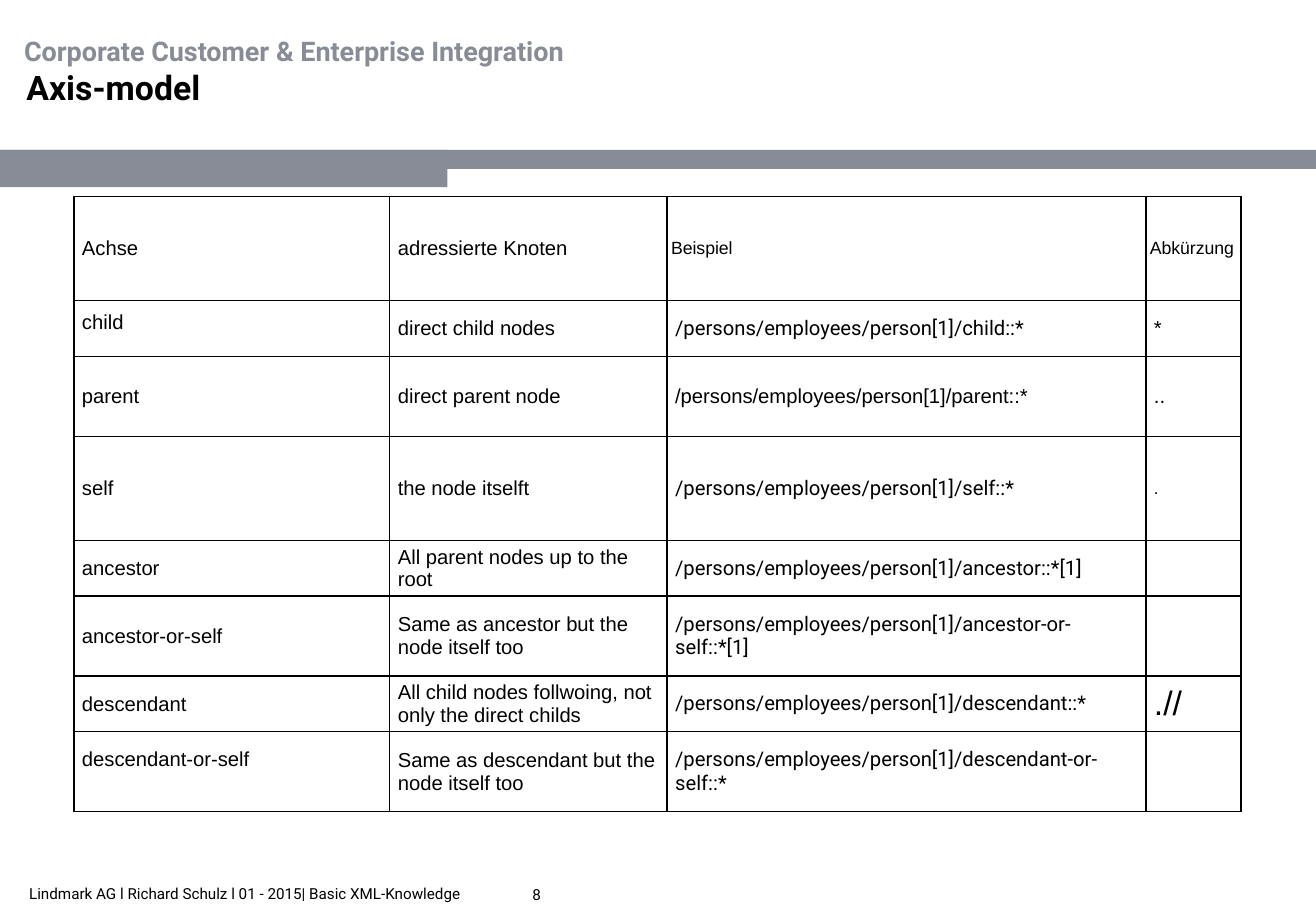
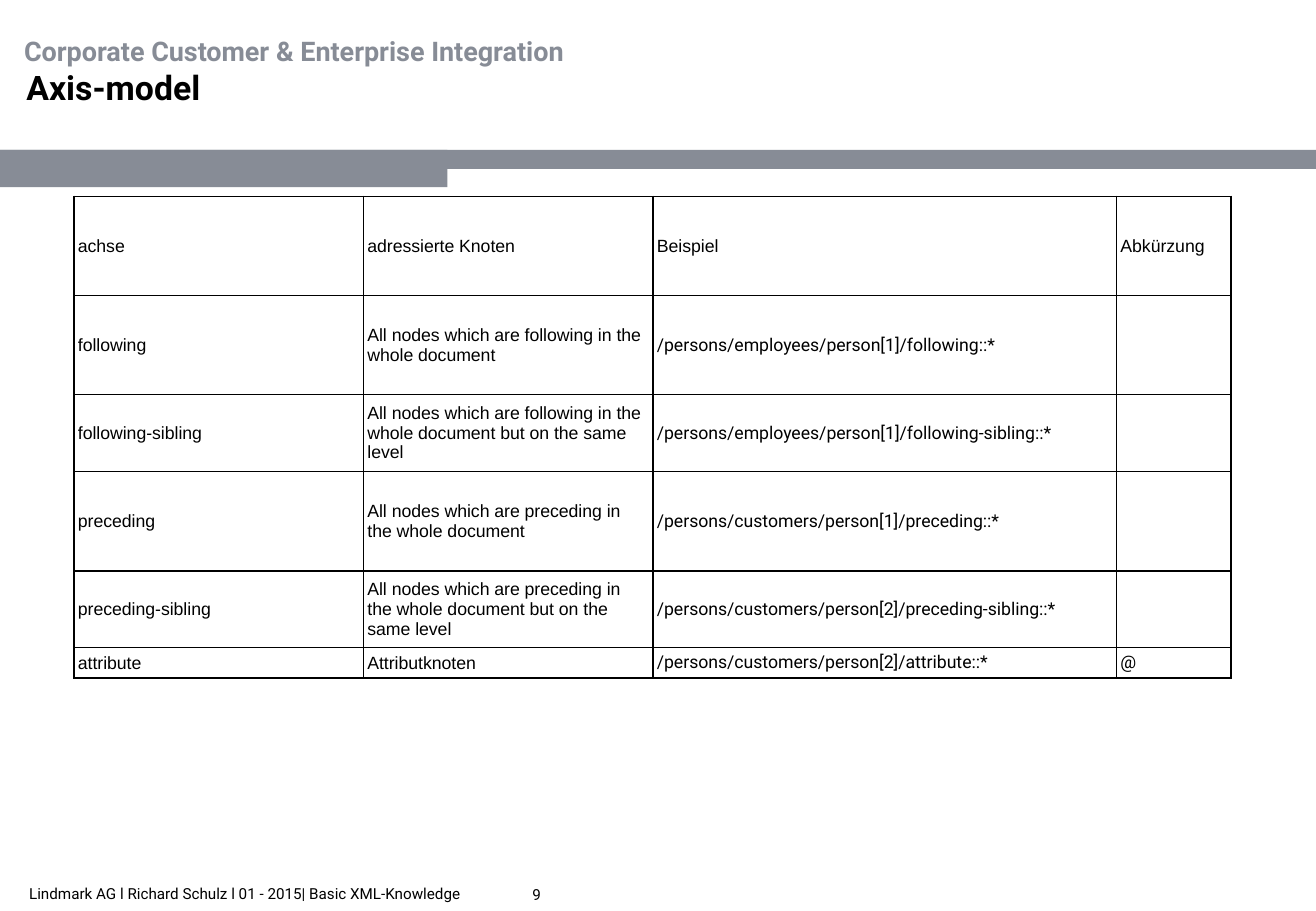
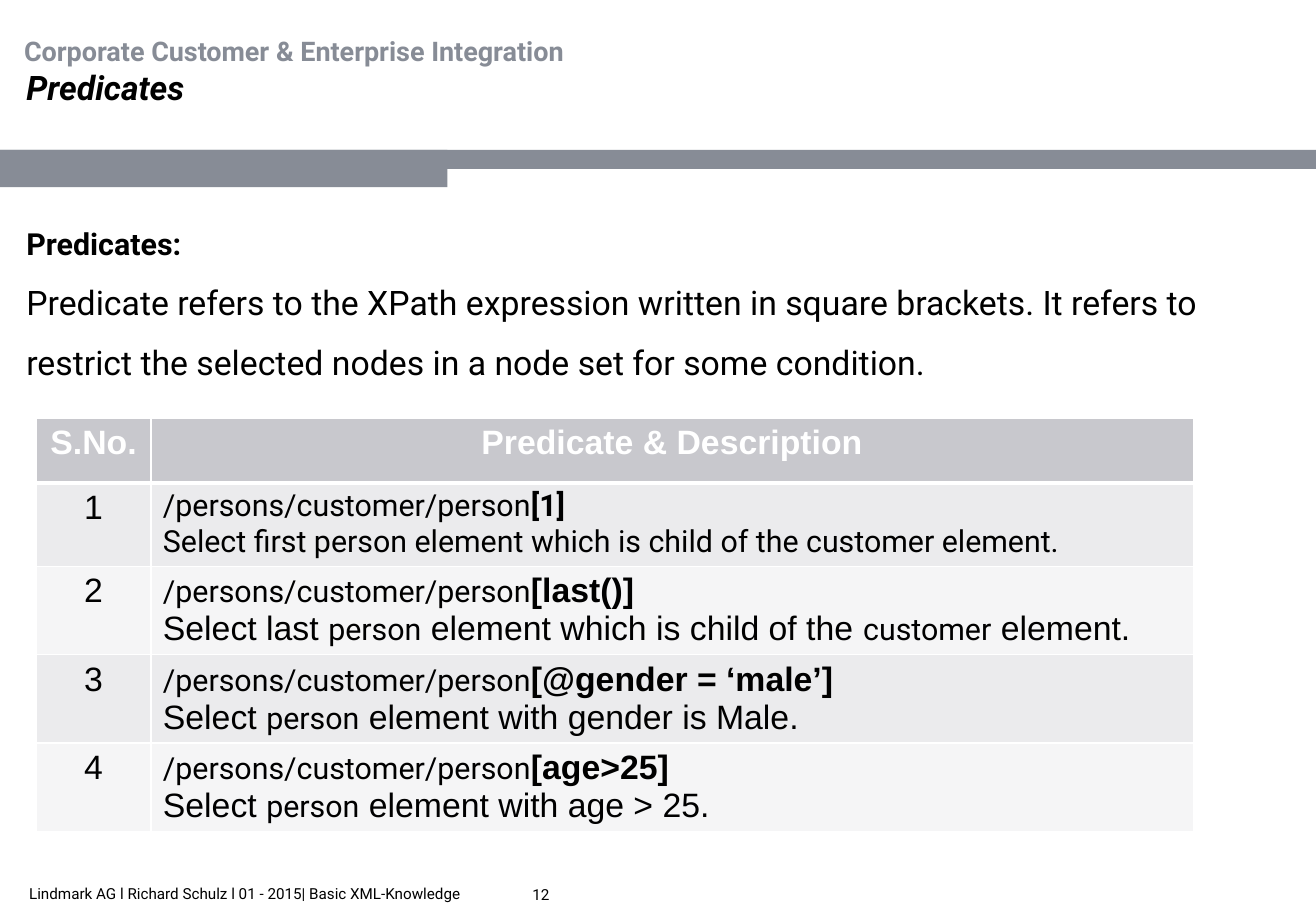
import pptx
import pptx.dml.color
import pptx.enum.shapes
import pptx.enum.text
import pptx.oxml
import pptx.oxml.ns
import pptx.util

PX = 7620  # EMU, 120 px to the inch
WIDTH, HEIGHT = 1300, 900
GREY, BLACK, WHITE = "878C96", "000000", "FFFFFF"
HEAD_FILL, BAND_FILLS = "C8C8CD", ("EBEBED", "F5F5F6")
SANS, ROBOTO = "Arial", "Roboto"
ALIGN = pptx.enum.text.PP_ALIGN
ANCHOR = pptx.enum.text.MSO_ANCHOR
WIDE, TIGHT = (8, 4), (4, 2)  # cell margins: sides, top and bottom

TITLE_ONLY, TITLE_AND_BODY = 5, 1
PATH = "/persons/customer/person"
CODE = {"size": 18, "font": ROBOTO}
STRONG = {"bold": True}

AXES = [
    ["Achse", "adressierte Knoten", "Beispiel", "Abkürzung"],
    ["child", "direct child nodes", "/persons/employees/person[1]/child::*", "*"],
    ["parent", "direct parent node", "/persons/employees/person[1]/parent::*", ".."],
    ["self", "the node itselft", "/persons/employees/person[1]/self::*", "."],
    ["ancestor", "All parent nodes up to the root",
     "/persons/employees/person[1]/ancestor::*[1]", ""],
    ["ancestor-or-self", "Same as ancestor but the node itself too",
     "/persons/employees/person[1]/ancestor-or-self::*[1]", ""],
    ["descendant", "All child nodes follwoing, not only the direct childs",
     "/persons/employees/person[1]/descendant::*", ".//"],
    ["descendant-or-self", "Same as descendant but the node itself too",
     "/persons/employees/person[1]/descendant-or-self::*", ""],
]
AXES_FORMATS = {
    (0, 2): {"size": 10.5, "margins": TIGHT},
    (0, 3): {"size": 10.5, "margins": TIGHT},
    (1, 0): {"lift": 12},
    (2, 2): {"font": SANS},
    (3, 3): {"size": 10},
    (6, 3): {"size": 20},
    (7, 0): {"lift": 24},
}

MORE_AXES = [
    ["achse", "adressierte Knoten", "Beispiel", "Abkürzung"],
    ["following", "All nodes which are following in the whole document",
     "/persons/employees/person[1]/following::*", ""],
    ["following-sibling",
     "All nodes which are following in the whole document but on the same level",
     "/persons/employees/person[1]/following-sibling::*", ""],
    ["preceding", "All nodes which are preceding in the whole document",
     "/persons/customers/person[1]/preceding::*", ""],
    ["preceding-sibling",
     "All nodes which are preceding in the whole document but on the same level",
     "/persons/customers/person[2]/preceding-sibling::*", ""],
    ["attribute", "Attributknoten", "/persons/customers/person[2]/attribute::*", "@"],
]

PREDICATES = [
    [[(PATH, CODE), ("[1]", CODE | STRONG)],
     [("Select first person element which is child of the customer element.", CODE)]],
    [[(PATH, CODE), ("[last()]", STRONG)],
     ["Select last ", ("person", CODE), " element which is child of the ",
      ("customer", CODE), " element."]],
    [[(PATH, CODE), ("[@gender = ‘male’]", STRONG)],
     ["Select ", ("person", CODE), " element with gender is Male."]],
    [[(PATH, CODE), ("[age>25]", STRONG)],
     ["Select ", ("person", CODE), " element with age > 25."]],
]


def px(length):
    return pptx.util.Emu(length * PX)


def color(value):
    return pptx.dml.color.RGBColor.from_string(value)


def format_span(span, size=12, font=ROBOTO, ink=BLACK, bold=False, italic=False):
    span.font.size = pptx.util.Pt(size)
    span.font.name = font
    span.font.color.rgb = color(ink)
    span.font.bold = bold
    span.font.italic = italic


def write(frame, content, align=ALIGN.LEFT, spacing=None, margins=(0, 0, 0, 0),
          anchor=ANCHOR.TOP, **style):
    """Fill a frame with a string, or a list of paragraphs that are lists of spans.

    A span is a string or a pair of a string and its own format.
    """
    frame.word_wrap = True
    frame.auto_size = pptx.enum.text.MSO_AUTO_SIZE.NONE
    frame.vertical_anchor = anchor
    (frame.margin_left, frame.margin_top,
     frame.margin_right, frame.margin_bottom) = map(px, margins)
    write_paragraphs(frame, content, align, spacing, **style)


def write_paragraphs(frame, content, align=ALIGN.LEFT, spacing=None, **style):
    paragraphs = [[content]] if isinstance(content, str) else content
    for index, spans in enumerate(paragraphs):
        para = frame.add_paragraph() if index else frame.paragraphs[0]
        para.alignment = align
        para.space_before = pptx.util.Pt(0)
        if spacing:
            para.line_spacing = spacing
        for item in spans:
            text, own = (item, {}) if isinstance(item, str) else item
            if text:
                span = para.add_run()
                span.text = text
                format_span(span, **(style | own))


def place(shape, left, top, width, height):
    shape.left, shape.top, shape.width, shape.height = map(
        px, (left, top, width, height))


def add_text(page, area, content, **style):
    box = page.shapes.add_textbox(*map(px, area))
    write(box.text_frame, content, **style)
    return box


def add_band(page, *area):
    band = page.shapes.add_shape(
        pptx.enum.shapes.MSO_SHAPE.RECTANGLE, *map(px, area))
    band.shadow.inherit = False
    band.fill.solid()
    band.fill.fore_color.rgb = color(GREY)
    band.line.fill.background()
    return band


def add_shared_parts(deck, page):
    """Draw bands, header and footer on a page and move them to the master."""
    parts = [
        add_band(page, 0, 148, WIDTH, 19),
        add_band(page, 0, 148, 442, 37),
        add_text(page, (17, 868, 480, 30),
                 "Lindmark AG l Richard Schulz l 01 - 2015| Basic XML-Knowledge",
                 margins=(12, 6, 0, 6), size=9),
        add_text(page, (12, 28, 600, 44), "Corporate Customer & Enterprise Integration",
                 margins=(12, 6, 12, 6), size=16, ink=GREY, bold=True),
    ]
    for number, part in enumerate(parts, start=101):
        part.element.xpath(".//p:cNvPr")[0].set("id", str(number))
        deck.slide_master.shapes.element.append(part.element)


def add_page(deck, layout, title, number, italic=False):
    page = deck.slides.add_slide(deck.slide_layouts[layout])
    place(page.shapes.title, 26, 66, 1247, 85)
    write(page.shapes.title.text_frame, title, margins=(0, 0, 359, 0),
          size=20, bold=True, italic=italic)
    add_text(page, (526, 878, 250, 12), str(number), anchor=ANCHOR.MIDDLE, size=9)
    return page


def fill_body(body, content, **style):
    """Write a body placeholder without bullets."""
    write(body.text_frame, content, **style)
    for para in body.text_frame.paragraphs:
        properties = para._p.get_or_add_pPr()
        properties.set("marL", "0")
        properties.set("indent", "0")
        properties.append(pptx.oxml.parse_xml(
            f"<a:buNone {pptx.oxml.ns.nsdecls('a')}/>"))


def set_borders(cell, ink, **points):
    """Draw all four borders 1 pt wide, or as wide as given for L, R, T or B."""
    for side in "LRTB":
        width = pptx.util.Pt(points.get(side, 1))
        cell._tc.get_or_add_tcPr().append(pptx.oxml.parse_xml(
            f'<a:ln{side} {pptx.oxml.ns.nsdecls("a")} w="{width}">'
            f'<a:solidFill><a:srgbClr val="{ink}"/></a:solidFill></a:ln{side}>'))


def add_grid(page, left, top, columns, rows):
    grid = page.shapes.add_table(
        len(rows), len(columns), px(left), px(top),
        px(sum(columns)), px(sum(rows))).table
    grid.first_row = grid.horz_banding = False
    for column, width in zip(grid.columns, columns):
        column.width = px(width)
    for row, height in zip(grid.rows, rows):
        row.height = px(height)
    return grid


def fill_cell(cell, content, margins=WIDE, lift=0, anchor=ANCHOR.MIDDLE, fill=None,
              **style):
    """Write a cell; lift is extra room under its text."""
    side, edge = margins
    cell.margin_left = cell.margin_right = px(side)
    cell.margin_top, cell.margin_bottom = px(edge), px(edge + lift)
    cell.vertical_anchor = anchor
    if fill:
        cell.fill.solid()
        cell.fill.fore_color.rgb = color(fill)
    else:
        cell.fill.background()
    write_paragraphs(cell.text_frame, content, **style)


def add_axis_table(page, columns, heights, texts, formats, **style):
    grid = add_grid(page, 73, 194, columns, heights)
    for row, line in enumerate(texts):
        for column, text in enumerate(line):
            cell = grid.cell(row, column)
            font = ROBOTO if text.startswith(("/", "@")) else SANS
            set_borders(cell, BLACK)
            fill_cell(cell, text, **({"font": font} | style
                                     | formats.get((row, column), {})))


def add_predicate_table(page):
    grid = add_grid(page, 36, 413, (113, 1030), (64, 82, 87, 87, 87))
    lines = [("S.No.", "Predicate & Description")]
    lines += [(str(number), text) for number, text in enumerate(PREDICATES, start=1)]
    for row, line in enumerate(lines):
        head = row == 0
        for column, content in enumerate(line):
            cell = grid.cell(row, column)
            set_borders(cell, WHITE, **({"B": 3} if head else {"T": 3} if row == 1 else {}))
            fill_cell(cell, content, margins=(12, 6), anchor=ANCHOR.TOP,
                      fill=HEAD_FILL if head else BAND_FILLS[(row - 1) % 2],
                      align=ALIGN.CENTER if head or column == 0 else ALIGN.LEFT,
                      size=20, font=SANS, bold=head, ink=WHITE if head else BLACK)


def main():
    deck = pptx.Presentation()
    deck.slide_width, deck.slide_height = px(WIDTH), px(HEIGHT)

    page = add_page(deck, TITLE_ONLY, "Axis-model", 8)
    add_shared_parts(deck, page)
    add_axis_table(page, (312, 274, 473, 94), (103, 55, 79, 103, 55, 79, 55, 79),
                   AXES, AXES_FORMATS)

    page = add_page(deck, TITLE_ONLY, "Axis-model", 9)
    add_axis_table(page, (286, 286, 458, 113), (98, 98, 76, 98, 76, 30),
                   MORE_AXES, {}, size=10.5, margins=TIGHT)

    page = add_page(deck, TITLE_AND_BODY, "Predicates", 12, italic=True)
    body = page.placeholders[1]
    place(body, 26, 204, 1248, 643)
    fill_body(body, [
        [("Predicates:", {"size": 18, "bold": True})],
        ["Predicate refers to the XPath expression written in square brackets. "
         "It refers to restrict the selected nodes in a node set for some condition."],
    ], spacing=1.5, size=20)
    add_predicate_table(page)

    deck.save("out.pptx")


if __name__ == "__main__":
    main()
